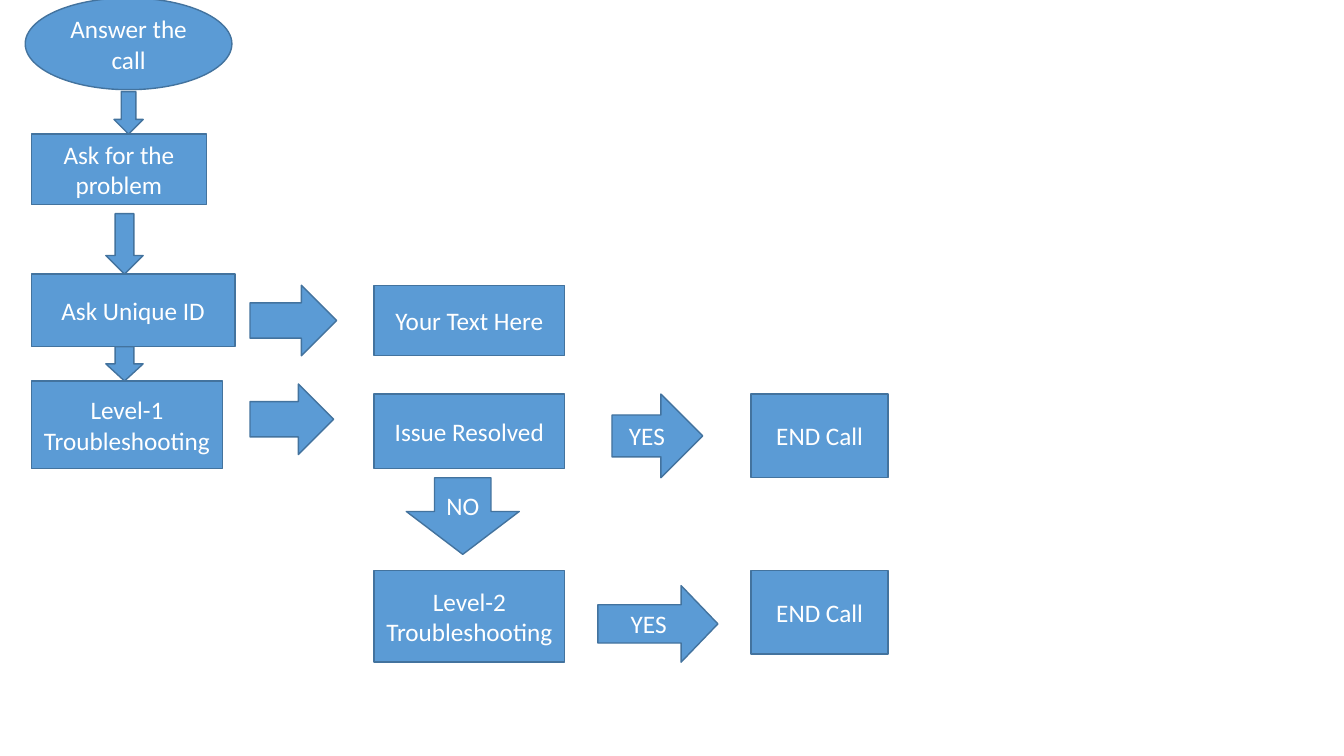
from dataclasses import dataclass

from pptx import Presentation
from pptx.dml.color import RGBColor
from pptx.enum.shapes import MSO_SHAPE
from pptx.enum.text import MSO_ANCHOR, PP_ALIGN
from pptx.util import Inches, Pt

OVAL, BOX = MSO_SHAPE.OVAL, MSO_SHAPE.RECTANGLE
RIGHT, DOWN = MSO_SHAPE.RIGHT_ARROW, MSO_SHAPE.DOWN_ARROW
MIDDLE, CENTER = MSO_ANCHOR.MIDDLE, PP_ALIGN.CENTER
BLANK_LAYOUT = 6


@dataclass(frozen=True)
class Theme:
    """Colours and type of the flowchart."""
    fill: RGBColor = RGBColor(0x5B, 0x9B, 0xD5)
    line: RGBColor = RGBColor(0x43, 0x73, 0x9E)
    text: RGBColor = RGBColor(0xFF, 0xFF, 0xFF)
    font: str = "Calibri"
    size: Pt = Pt(18)
    line_width: Pt = Pt(1)


THEME = Theme()

# Left edges of the grid columns and top edges of its rows, in inches
COLUMNS = {"intake": 0.31, "to_check": 2.48, "check": 3.71, "end": 7.45}
ROWS = {"problem": 1.33, "id": 2.72, "text": 2.83, "level_1": 3.78,
        "resolved": 3.91, "level_2": 5.66}
CHECK_WIDTH = 1.89
END_SIZE = (1.36, 0.83)

# Kind, column, row, (width, height), text
STEPS = [
    (BOX, "intake", "problem", (1.74, 0.7), "Ask for the problem"),
    (BOX, "intake", "id", (2.02, 0.72), "Ask Unique ID"),
    (BOX, "intake", "level_1", (1.9, 0.87), "Level-1 Troubleshooting"),
    (BOX, "check", "text", (CHECK_WIDTH, 0.7), "Your Text Here"),
    (BOX, "check", "resolved", (CHECK_WIDTH, 0.74), "Issue Resolved"),
    (BOX, "check", "level_2", (CHECK_WIDTH, 0.91), "Level-2 Troubleshooting"),
    (BOX, "end", "resolved", END_SIZE, "END Call"),
    (BOX, "end", "level_2", END_SIZE, "END Call"),
    (RIGHT, "to_check", "text", (0.86, 0.7), ""),
]

# Kind, (left, top), (width, height), text, head length
ARROWS = [
    (DOWN, (1.13, 0.91), (0.29, 0.42), "", 0.5),
    (DOWN, (1.05, 2.12), (0.37, 0.6), "", 0.5),
    (DOWN, (1.05, 3.44), (0.37, 0.34), "", 0.5),
    (RIGHT, (COLUMNS["to_check"], 3.81), (0.83, 0.7), "", 0.5),
    (RIGHT, (6.07, ROWS["resolved"]), (0.9, 0.83), "YES", 0.5),
    (DOWN, (4.03, 4.74), (1.12, 0.76), "NO", 0.56),
    (RIGHT, (5.93, 5.81), (1.19, 0.76), "YES", 0.48),
]


def set_attributes(target, values):
    """Set each named attribute of the target."""
    for name, value in values.items():
        setattr(target, name, value)


def add_block(slide, kind, position, size, text=""):
    """Add one themed flowchart shape with centred text."""
    shape = slide.shapes.add_shape(kind, *map(Inches, position + size))
    shape.shadow.inherit = False
    shape.fill.solid()
    shape.fill.fore_color.rgb = THEME.fill
    shape.line.color.rgb = THEME.line
    shape.line.width = THEME.line_width
    if text:
        write_label(shape.text_frame, text)
    return shape


def write_label(frame, text):
    """Write a centred, wrapped label in the theme's type."""
    set_attributes(frame, {"word_wrap": True, "vertical_anchor": MIDDLE})
    paragraph = frame.paragraphs[0]
    paragraph.alignment = CENTER
    run = paragraph.add_run()
    run.text = text
    set_attributes(run.font, {"name": THEME.font, "size": THEME.size})
    run.font.color.rgb = THEME.text


def add_step(slide, kind, column, row, size, text):
    """Add a shape at a crossing of the grid."""
    add_block(slide, kind, (COLUMNS[column], ROWS[row]), size, text)


def add_arrow(slide, kind, position, size, text, head):
    """Add a block arrow with the given head length."""
    arrow = add_block(slide, kind, position, size, text)
    arrow.adjustments[1] = head


def main():
    """Build the call handling flowchart."""
    presentation = Presentation()
    set_attributes(presentation, {"slide_width": Inches(13.33),
                                  "slide_height": Inches(7.5)})
    layout = presentation.slide_layouts[BLANK_LAYOUT]
    slide = presentation.slides.add_slide(layout)
    add_block(slide, OVAL, (0.25, -0.02), (2.05, 0.91), "Answer the call")
    for step in STEPS:
        add_step(slide, *step)
    for arrow in ARROWS:
        add_arrow(slide, *arrow)
    presentation.save("out.pptx")


main()
